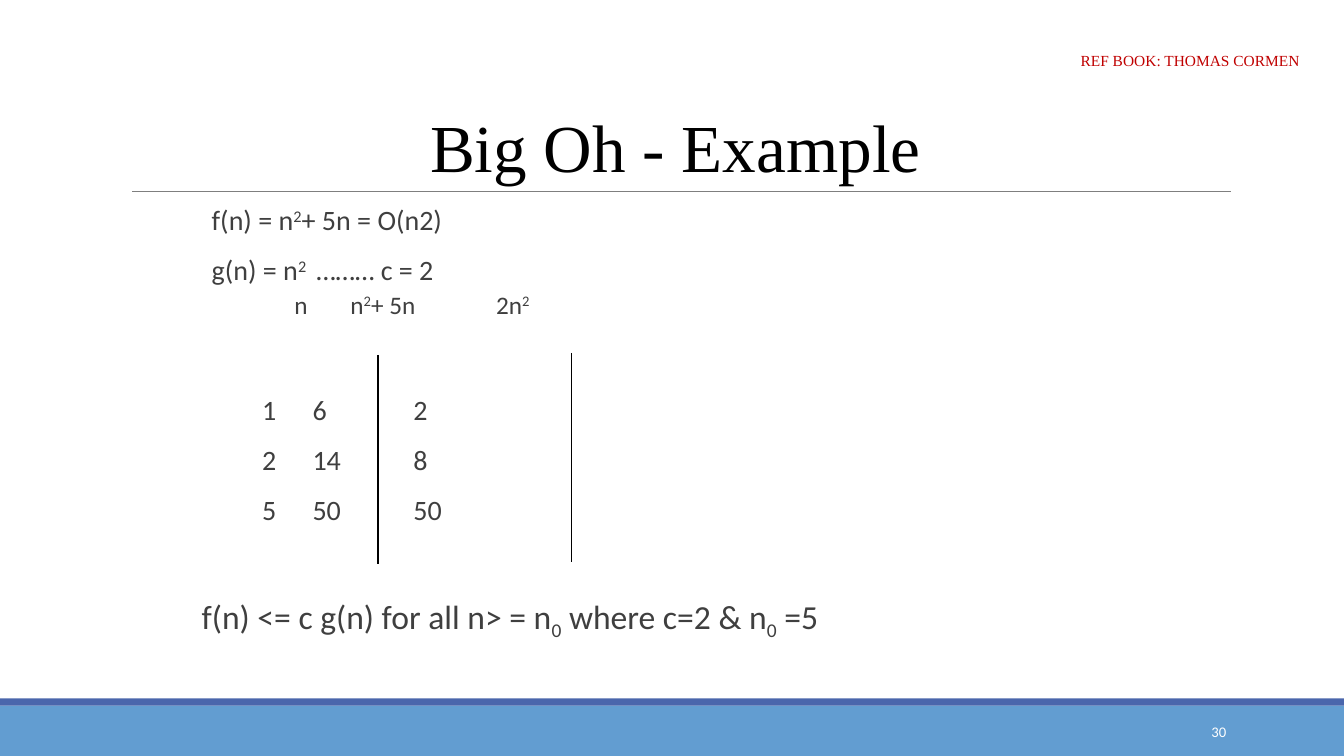
from lxml import etree
from pptx import Presentation
from pptx.dml.color import RGBColor
from pptx.enum.shapes import MSO_CONNECTOR, MSO_SHAPE
from pptx.enum.text import MSO_ANCHOR, PP_ALIGN
from pptx.oxml.ns import qn
from pptx.util import Inches, Pt

LINE = MSO_CONNECTOR.STRAIGHT
RECT = MSO_SHAPE.RECTANGLE
TOP, MIDDLE, BOTTOM = MSO_ANCHOR.TOP, MSO_ANCHOR.MIDDLE, MSO_ANCHOR.BOTTOM
LEFT, CENTER, RIGHT = PP_ALIGN.LEFT, PP_ALIGN.CENTER, PP_ALIGN.RIGHT

COLORS = {
    "footer": "629DD1",
    "stripe": "4A66AC",
    "rule": "7F7F7F",
    "black": "000000",
    "body": "3F3F3F",
    "reference": "C00000",
    "white": "FFFFFF",
}
SERIF, SANS = "Times New Roman", "Calibri"
SUPER, SUB = 30000, -25000


class SlideBuilder:
    def __init__(self, slide):
        self.slide = slide

    def color(self, name):
        return RGBColor.from_string(COLORS[name])

    def bar(self, top, height, color):
        s = self.slide.shapes.add_shape(
            RECT, 0, Inches(top), Inches(13.33), Inches(height))
        s.shadow.inherit = False
        s.fill.solid()
        s.fill.fore_color.rgb = self.color(color)
        s.line.fill.background()

    def line(self, x1, y1, x2, y2, color, width):
        s = self.slide.shapes.add_connector(
            LINE, Inches(x1), Inches(y1), Inches(x2), Inches(y2))
        s.line.color.rgb = self.color(color)
        s.line.width = Pt(width)
        etree.SubElement(s._element.spPr, qn("a:effectLst"))

    def frame(self, left, top, width, height, anchor, inset=0.1):
        sp = self.slide.shapes.add_textbox(
            Inches(left), Inches(top), Inches(width), Inches(height))
        tf = sp.text_frame
        tf.word_wrap = True
        tf.vertical_anchor = anchor
        tf.margin_left = tf.margin_right = Inches(inset)
        return tf

    def style(self, r, size, font, color):
        r.font.size = Pt(size)
        r.font.name = font
        r.font.color.rgb = self.color(color)

    def label(self, text, box, anchor, align, size, font, color, spacing=1.0):
        tf = self.frame(*box, anchor)
        tf.text = text
        p = tf.paragraphs[0]
        p.alignment = align
        p.line_spacing = spacing
        self.style(p.runs[0], size, font, color)

    def body(self, box, lines):
        tf = self.frame(*box, TOP, inset=0)
        for i, (size, before, margin, indent, parts) in enumerate(lines):
            p = tf.add_paragraph() if i else tf.paragraphs[0]
            p.alignment = LEFT
            p.line_spacing = 0.9
            p.space_before = Pt(before)
            pPr = p._p.get_or_add_pPr()
            pPr.set("marL", str(Inches(margin)))
            pPr.set("indent", str(Inches(indent)))
            for text, baseline in parts:
                r = p.add_run()
                r.text = text
                self.style(r, size, SANS, "body")
                if baseline:
                    r._r.get_or_add_rPr().set("baseline", str(baseline))


def main():
    prs = Presentation()
    prs.slide_width, prs.slide_height = Inches(13.33), Inches(7.5)
    s = SlideBuilder(prs.slides.add_slide(prs.slide_layouts[6]))

    s.bar(7, 0.5, "footer")
    s.bar(6.93, 0.07, "stripe")
    s.line(1.31, 1.9, 12.21, 1.9, "rule", 0.75)
    s.label("Big Oh - Example", (1.2, 0.31, 11, 1.59), BOTTOM, CENTER,
            48, SERIF, "black", 0.85)

    growth = [(1, 6, 2), (2, 14, 8), (5, 50, 50)]
    rows = [(20, 14 if i else 55, 0.1, -0.1, [(f"\t\t{n}\t{f}\t\t{g}", 0)])
            for i, (n, f, g) in enumerate(growth)]
    s.body((2, 2, 9.17, 4.92), [
        (20, 0, 0.1, 0, [("f(n) = n", 0), ("2", SUPER), ("+ 5n = O(n2)", 0)]),
        (20, 14, 0.1, 0, [("g(n) = n", 0), ("2 ", SUPER), (" ……… c = 2", 0)]),
        (18, 4, 0.42, -0.2, [("\t\tn\t n", 0), ("2", SUPER),
                             ("+ 5n\t\t2n", 0), ("2", SUPER)]),
        *rows,
        (24, 50, 0.1, -0.1, [("f(n) <= c g(n) for all n> = n", 0), ("0", SUB),
                             (" where c=2 & n", 0), ("0", SUB), (" =5", 0)]),
    ])

    s.label("REF BOOK: THOMAS CORMEN", (10.59, 0.33, 2.43, 0.54), MIDDLE,
            CENTER, 11, SERIF, "reference")
    for x, top in ((3.75, 3.52), (5.67, 3.5)):
        s.line(x, top, x, top + 2.08, "black", 1)
    s.label("30", (10.83, 7.06, 1.43, 0.4), MIDDLE, RIGHT, 10.5, SANS, "white")

    prs.save("out.pptx")


if __name__ == "__main__":
    main()
